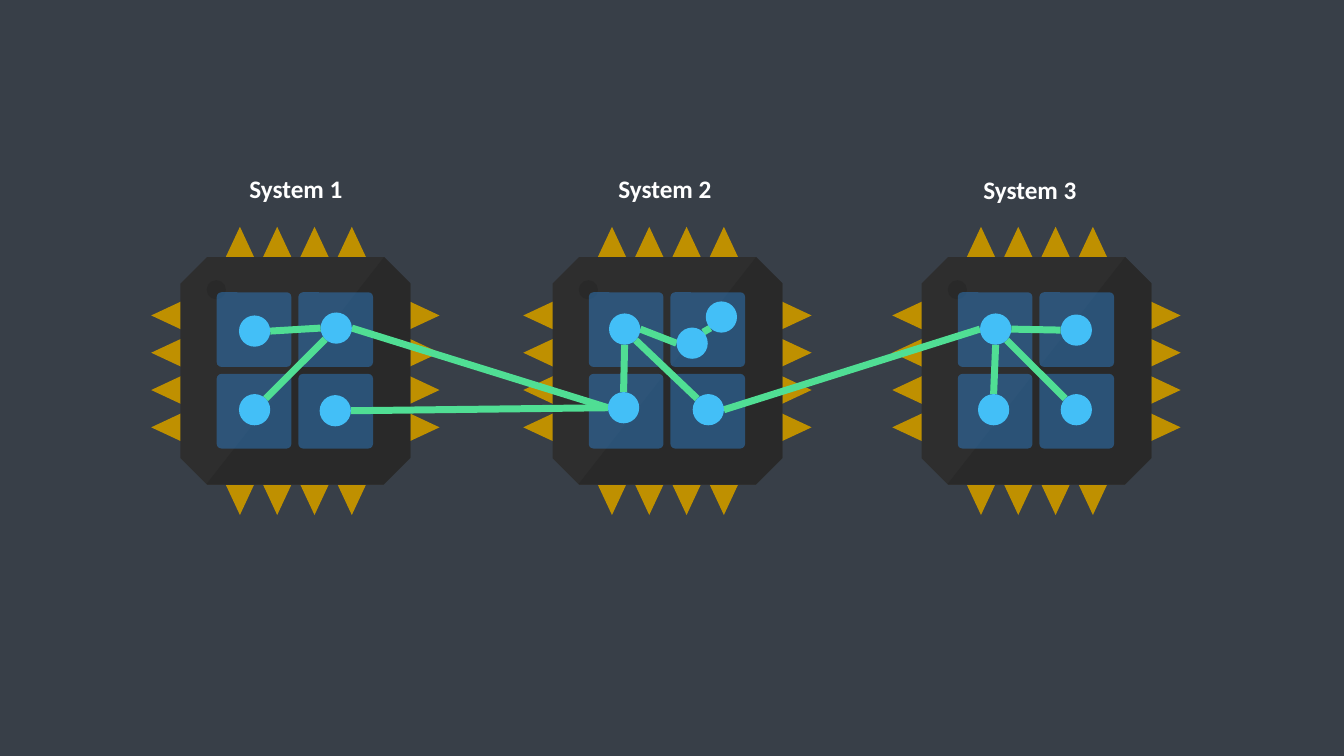
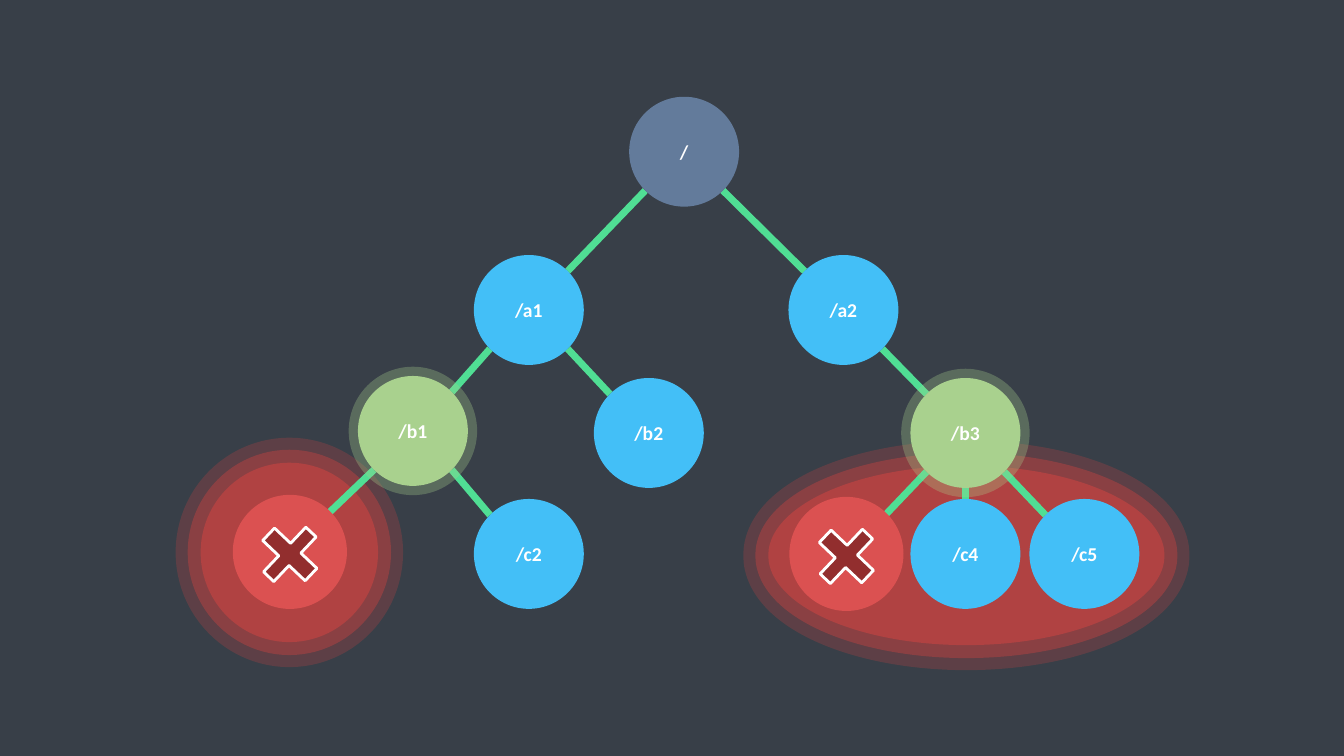
from pptx import Presentation
from pptx.dml.color import RGBColor
from pptx.enum import shapes as kinds, text
from pptx.oxml import ns
from pptx.util import Inches, Pt

BACKGROUND = RGBColor(0x38, 0x3F, 0x48)
WHITE = RGBColor(0xFF, 0xFF, 0xFF)
PIN = RGBColor(0xBF, 0x90, 0x00)
CHIP = RGBColor(0x2E, 0x2E, 0x2E)
CHIP_SHADE = RGBColor(0x29, 0x29, 0x29)
CORE = RGBColor(0x2E, 0x75, 0xB6)
LINK = RGBColor(0x50, 0xDE, 0x94)
NODE = RGBColor(0x43, 0xBF, 0xF7)
ROOT = RGBColor(0x63, 0x7B, 0x9B)
SUPERVISOR = RGBColor(0xA9, 0xD1, 0x8E)
FAILED = RGBColor(0xDB, 0x51, 0x51)
CROSS = RGBColor(0x92, 0x2E, 0x2E)
HALO = RGBColor(0xB0, 0x42, 0x42)

FONT = "Calibri"
DIAGONAL = 0.707
MST = kinds.MSO_SHAPE

# Unit directions of the points where a link meets a circle
SITES = {
    "T": (0, -1), "B": (0, 1), "L": (-1, 0), "R": (1, 0),
    "TL": (-DIAGONAL, -DIAGONAL), "TR": (DIAGONAL, -DIAGONAL),
    "BL": (-DIAGONAL, DIAGONAL), "BR": (DIAGONAL, DIAGONAL),
}


# Shared helpers
def add_slide(prs):
    s = prs.slides.add_slide(prs.slide_layouts[6])
    s.background.fill.solid()
    s.background.fill.fore_color.rgb = BACKGROUND
    return s


def set_alpha(parent, percent):
    color = parent.find(ns.qn("a:solidFill"))[0]
    alpha = color.makeelement(ns.qn("a:alpha"), {"val": str(percent * 1000)})
    color.append(alpha)


def paint(sp, fill=None, line=None, width=0, fill_alpha=None, line_alpha=None):
    sp.shadow.inherit = False
    if fill is None:
        sp.fill.background()
    else:
        sp.fill.solid()
        sp.fill.fore_color.rgb = fill
    if fill_alpha:
        set_alpha(sp.element.spPr, fill_alpha)
    if line is None:
        sp.line.fill.background()
    else:
        sp.line.color.rgb = line
        sp.line.width = Pt(width)
    if line_alpha:
        set_alpha(sp.element.spPr.find(ns.qn("a:ln")), line_alpha)


def add_shape(shapes, kind, x, y, w, h, fill=None, **style):
    sp = shapes.add_shape(kind, Inches(x), Inches(y), Inches(w), Inches(h))
    paint(sp, fill, **style)
    return sp


def add_outlines(shapes, x, y, outlines, fill):
    """Draw closed outlines, given relative to (x, y), as one shape."""
    builder = None
    for outline in outlines:
        points = [(Inches(x + px), Inches(y + py)) for px, py in outline]
        if builder is None:
            builder = shapes.build_freeform(*points[0])
        else:
            builder.move_to(*points[0])
        builder.add_line_segments(points[1:], close=True)
    paint(builder.convert_to_shape(), fill)


def write(tf, words, size):
    p = tf.paragraphs[0]
    p.alignment = text.PP_ALIGN.CENTER
    r = p.add_run()
    r.text = words
    r.font.name, r.font.size, r.font.bold = FONT, Pt(size), True
    r.font.color.rgb = WHITE


def add_link(shapes, start, start_site, end, end_site, size):
    """Join two circles, given by their top left corners."""
    ends = []
    for corner, site in ((start, start_site), (end, end_site)):
        ends += [Inches(c + size / 2 * (1 + d))
                 for c, d in zip(corner, SITES[site])]
    link = shapes.add_connector(kinds.MSO_CONNECTOR.STRAIGHT, *ends)
    link.line.color.rgb = LINK
    link.line.width = Pt(5)
    spPr = link.element.spPr
    spPr.append(spPr.makeelement(ns.qn("a:effectLst"), {}))


# Slide 1: actors spread over three systems
def add_chip(s, x, y):
    shapes = s.shapes.add_group_shape().shapes
    pins = []
    for i in range(4):
        a = 0.74 + 0.37 * i
        for base, tip in ((0.3, 0), (2.56, 2.86)):
            pin = [(a, base), (a + 0.14, tip), (a + 0.28, base)]
            pins += [pin, [(py, px) for px, py in pin]]
    add_outlines(shapes, x, y, pins, PIN)

    # Body with its shaded half and corner mark
    body = add_shape(shapes, MST.OCTAGON, x + 0.29, y + 0.3, 2.28, 2.26, CHIP)
    body.adjustments[0] = 0.117
    shade = [(0.55, 2.55), (2.31, 0.3), (2.57, 0.56), (2.57, 2.29), (2.31, 2.55)]
    add_outlines(shapes, x, y, [shade], CHIP_SHADE)
    add_shape(shapes, MST.OVAL, x + 0.55, y + 0.53, 0.19, 0.19, CHIP_SHADE)

    for row in range(2):
        for col in range(2):
            core = add_shape(shapes, MST.ROUNDED_RECTANGLE, x + 0.65 + 0.81 * col,
                             y + 0.65 + 0.81 * row, 0.74, 0.74, CORE, fill_alpha=55)
            core.adjustments[0] = 0.062


def add_network(s):
    size = 0.31
    nodes = {
        "1a": (2.37, 3.13), "1b": (3.18, 3.1), "1c": (2.37, 3.91), "1d": (3.17, 3.92),
        "2a": (6.04, 3.11), "2b": (6.71, 3.25), "2c": (6.03, 3.89), "2d": (6.87, 3.91),
        "2e": (7, 2.99),
        "3a": (9.72, 3.11), "3b": (10.52, 3.12), "3c": (9.7, 3.91), "3d": (10.52, 3.91),
    }
    links = [
        ("1b", "L", "1a", "R"), ("1b", "BL", "1c", "TR"),
        ("2c", "L", "1b", "R"), ("2c", "L", "1d", "R"),
        ("2a", "B", "2c", "T"), ("2a", "BR", "2d", "TL"),
        ("2a", "R", "2b", "L"), ("2b", "TR", "2e", "BL"),
        ("3a", "L", "2d", "R"), ("3a", "B", "3c", "T"),
        ("3a", "BR", "3d", "TL"), ("3a", "R", "3b", "L"),
    ]
    shapes = s.shapes.add_group_shape().shapes
    for start, start_site, end, end_site in links:
        add_link(shapes, nodes[start], start_site, nodes[end], end_site, size)
    for x, y in nodes.values():
        add_shape(shapes, MST.OVAL, x, y, size, size, NODE)


def add_system_title(s, words, x, y):
    box = s.shapes.add_textbox(Inches(x), Inches(y), Inches(1.13), Inches(0.4))
    tf = box.text_frame
    tf.word_wrap = False
    tf.auto_size = text.MSO_AUTO_SIZE.SHAPE_TO_FIT_TEXT
    write(tf, words, 18)


def systems_slide(prs):
    s = add_slide(prs)
    for x in (1.5, 5.19, 8.85):
        add_chip(s, x, 2.25)
    add_network(s)
    for i, (x, y) in enumerate([(2.37, 1.67), (6.03, 1.67), (9.65, 1.68)], 1):
        add_system_title(s, f"System {i}", x, y)


# Slide 2: failures in a supervision tree
def add_halo(s, x, y, w, h):
    shapes = s.shapes.add_group_shape().shapes
    add_shape(shapes, MST.OVAL, x, y, w, h, HALO,
              line=HALO, width=18.5, line_alpha=54)
    add_shape(shapes, MST.OVAL, x, y, w, h,
              line=HALO, width=35.75, line_alpha=31)


def add_failed_actor(s, x, y, size):
    shapes = s.shapes.add_group_shape().shapes
    add_shape(shapes, MST.OVAL, x, y, size, size, FAILED, line=FAILED, width=3)
    cross = add_shape(shapes, MST.CROSS, x + 0.24, y + 0.28, 0.61, 0.58, CROSS,
                      line=WHITE, width=2)
    cross.adjustments[0] = 0.379
    cross.rotation = 313.5


def add_actor(s, words, x, y, size, fill, **style):
    sp = add_shape(s.shapes, MST.OVAL, x, y, size, size, fill, **style)
    tf = sp.text_frame
    tf.word_wrap = True
    tf.vertical_anchor = text.MSO_ANCHOR.MIDDLE
    write(tf, words, 14)


def add_tree(s):
    size = 1.09
    actors = {
        "/": (6.24, 0.96), "/a1": (4.7, 2.53), "/a2": (7.82, 2.53),
        "/b2": (5.89, 3.75), "/c2": (4.7, 4.95),
        "/c4": (9.03, 4.95), "/c5": (10.21, 4.95),
        "/b1": (3.55, 3.73), "/b3": (9.03, 3.75),
    }
    failed = {"left": (2.33, 4.93), "right": (7.85, 4.95)}
    children = {
        "/": ["/a1", "/a2"], "/a1": ["/b1", "/b2"], "/a2": ["/b3"],
        "/b1": ["left", "/c2"], "/b3": ["right", "/c4", "/c5"],
    }
    # Links leave a parent on the side where the child lies
    places = {**actors, **failed}
    for parent, names in children.items():
        for name in names:
            start, end = places[parent], places[name]
            if end[0] < start[0]:
                sites = "BL", "TR"
            elif end[0] > start[0]:
                sites = "BR", "TL"
            else:
                sites = "B", "T"
            add_link(s.shapes, start, sites[0], end, sites[1], size)

    for x, y in failed.values():
        add_failed_actor(s, x, y, size)
    glow = dict(line=SUPERVISOR, width=13.25, line_alpha=30)
    styles = {"/": (ROOT, {}), "/b1": (SUPERVISOR, glow), "/b3": (SUPERVISOR, glow)}
    for words, (x, y) in actors.items():
        fill, style = styles.get(words, (NODE, {}))
        add_actor(s, words, x, y, size, fill, **style)


def tree_slide(prs):
    s = add_slide(prs)
    add_halo(s, 7.62, 4.62, 3.93, 1.78)
    add_halo(s, 1.99, 4.59, 1.76, 1.78)
    add_tree(s)


def main():
    prs = Presentation()
    prs.slide_width, prs.slide_height = Inches(13.33), Inches(7.5)
    systems_slide(prs)
    tree_slide(prs)
    prs.save("out.pptx")


if __name__ == "__main__":
    main()
